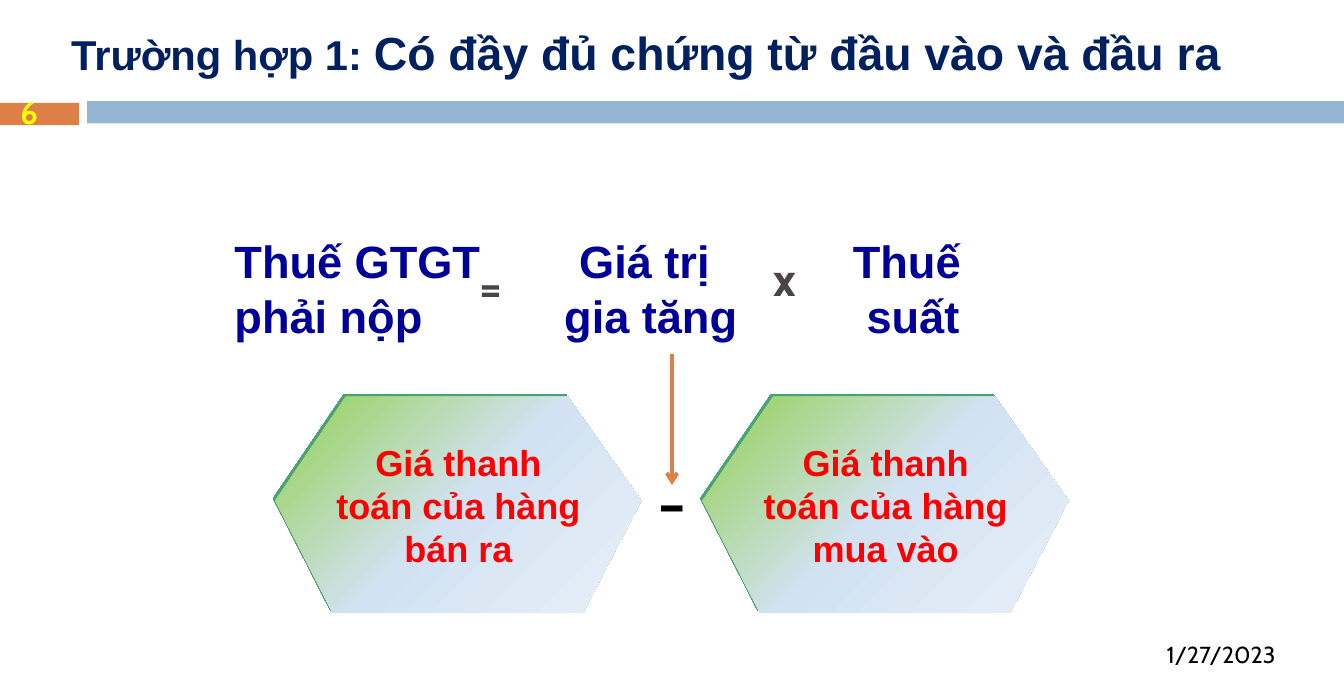
from lxml import etree
from pptx import Presentation
from pptx.dml.color import RGBColor
from pptx.enum.shapes import MSO_CONNECTOR, MSO_SHAPE
from pptx.enum.text import MSO_ANCHOR, PP_ALIGN
from pptx.oxml import parse_xml
from pptx.oxml.ns import qn
from pptx.util import Inches, Pt

LEFT, CENTER, RIGHT = PP_ALIGN.LEFT, PP_ALIGN.CENTER, PP_ALIGN.RIGHT
TOP, MIDDLE = MSO_ANCHOR.TOP, MSO_ANCHOR.MIDDLE
RECTANGLE, STRAIGHT = MSO_SHAPE.RECTANGLE, MSO_CONNECTOR.STRAIGHT

NAVY = RGBColor(0x00, 0x20, 0x60)
BLUE = RGBColor(0x00, 0x00, 0x99)
SKY = RGBColor(0x94, 0xB6, 0xD2)
ORANGE = RGBColor(0xDD, 0x80, 0x47)
GREEN = RGBColor(0x33, 0x99, 0x66)
LIME = RGBColor(0x92, 0xD0, 0x50)
PALE = RGBColor(0xD2, 0xE2, 0xF2)
PALEST = RGBColor(0xE8, 0xF0, 0xF8)
RED = RGBColor(0xFF, 0x00, 0x00)
YELLOW = RGBColor(0xFF, 0xFF, 0x00)
GRAY = RGBColor(0x4C, 0x45, 0x45)
BLACK = RGBColor(0x00, 0x00, 0x00)

A = 'xmlns:a="http://schemas.openxmlformats.org/drawingml/2006/main"'
# Hexagon tilted away from the viewer: corners from its top left
HEXAGON = [(0.76, 0), (3.16, 0), (3.95, 1.12), (3.32, 2.33), (0.62, 2.33), (0, 1.12)]


def add_run(p, text, size, color, font="Arial", bold=True):
    r = p.add_run()
    r.text = text
    r.font.size, r.font.name, r.font.bold = Pt(size), font, bold
    r.font.color.rgb = color


def add_text(s, box, lines, size, color, font="Arial", bold=True,
             align=CENTER, anchor=MIDDLE, wrap=True, inset=0.1):
    tf = s.shapes.add_textbox(*map(Inches, box)).text_frame
    tf.word_wrap, tf.vertical_anchor = wrap, anchor
    tf.margin_left = tf.margin_right = Inches(inset)
    for i, line in enumerate(lines):
        p = tf.paragraphs[0] if i == 0 else tf.add_paragraph()
        p.alignment = align
        add_run(p, line, size, color, font, bold)
    return tf


def add_bar(s, box, color):
    sp = s.shapes.add_shape(RECTANGLE, *map(Inches, box))
    sp.shadow.inherit = False
    sp.fill.solid()
    sp.fill.fore_color.rgb = color
    sp.line.fill.background()


def add_header(s, left, top, width):
    # Title
    tf = add_text(s, (left + 0.67, top + 0.14, width - 1.27, 0.84),
                  ["Trường hợp 1: "], 32.4, NAVY, align=LEFT)
    add_run(tf.paragraphs[0], "Có đầy đủ chứng từ đầu vào và đầu ra", 36, NAVY)
    # Bars and slide number
    add_bar(s, (left, top + 1.11, 0.85, 0.24), ORANGE)
    add_bar(s, (left + 0.94, top + 1.09, width - 0.94, 0.24), SKY)
    add_text(s, (left - 0.17, top + 0.77, 0.97, 0.87), ["6"], 24.3, YELLOW, "Cabin")


def add_formula(s, left, top):
    # Terms
    add_text(s, (left, top, 2.8, 2.07), ["Thuế GTGT", "phải nộp"], 35.1, BLUE,
             align=LEFT, wrap=False, inset=0)
    for dx, lines in ((2.8, ["Giá trị ", "gia tăng"]), (5.63, ["Thuế ", "suất"])):
        add_text(s, (left + dx, top, 3.38, 2.07), lines, 35.1, BLUE)
    # Operators
    for dx, dy, sign in ((2.55, 0.66, "="), (5.72, 0.58, "x")):
        add_text(s, (left + dx, top + dy, 0.71, 0.71), [sign], 36, GRAY, "Cabin",
                 align=LEFT, anchor=TOP)


def add_hexagon(s, left, top, text):
    points = [(Inches(left + x), Inches(top + y)) for x, y in HEXAGON]
    builder = s.shapes.build_freeform(*points[0])
    builder.add_line_segments(points[1:], close=True)
    sp = builder.convert_to_shape()
    sp.line.fill.background()
    # Diagonal gradient and green edge
    stops = "".join(f'<a:gs pos="{pos}"><a:srgbClr val="{color}"/></a:gs>'
                    for pos, color in ((0, LIME), (50000, PALE), (100000, PALEST)))
    spPr = sp.element.spPr
    spPr.find(qn("a:custGeom")).addnext(parse_xml(
        f'<a:gradFill {A} rotWithShape="1"><a:gsLst>{stops}</a:gsLst>'
        '<a:lin ang="2700000" scaled="1"/></a:gradFill>'))
    spPr.append(parse_xml(
        f'<a:effectLst {A}><a:outerShdw dist="32000" dir="13500000" algn="ctr" '
        f'rotWithShape="0"><a:srgbClr val="{GREEN}"><a:alpha val="90000"/>'
        '</a:srgbClr></a:outerShdw></a:effectLst>'))
    # Label
    tf = sp.text_frame
    tf.word_wrap, tf.vertical_anchor = True, MIDDLE
    tf.margin_left = tf.margin_right = Inches(0.63)
    p = tf.paragraphs[0]
    p.alignment = CENTER
    add_run(p, text, 28, RED)


def add_difference(s, left, top):
    # Sales price minus purchase price
    for i, goods in enumerate(("bán ra", "mua vào")):
        add_hexagon(s, left + 4.61 * i, top, f"Giá thanh toán của hàng {goods}")
    add_text(s, (left + 3.95, top + 0.62, 0.67, 1.01), ["-"], 54, BLACK, "Cabin",
             bold=False, anchor=TOP)
    # Arrow from the added value
    x = Inches(left + 4.28)
    arrow = s.shapes.add_connector(STRAIGHT, x, Inches(top - 0.46), x, Inches(top + 0.95))
    arrow.line.color.rgb, arrow.line.width = ORANGE, Pt(3)
    etree.SubElement(arrow.line._get_or_add_ln(), qn("a:tailEnd"), type="arrow")
    etree.SubElement(arrow._element.spPr, qn("a:effectLst"))


def main():
    prs = Presentation()
    prs.slide_width, prs.slide_height = Inches(14.5), Inches(7.3)
    s = prs.slides.add_slide(prs.slide_layouts[6])
    add_header(s, 0, 0, 14.5)
    add_formula(s, 2.53, 2.07)
    add_difference(s, 2.97, 4.28)
    # Date
    add_text(s, (9.63, 6.86, 4.23, 0.39), ["1/27/2023"], 18, BLACK, "Cabin",
             bold=False, align=RIGHT, anchor=TOP)
    prs.save("out.pptx")


if __name__ == "__main__":
    main()
